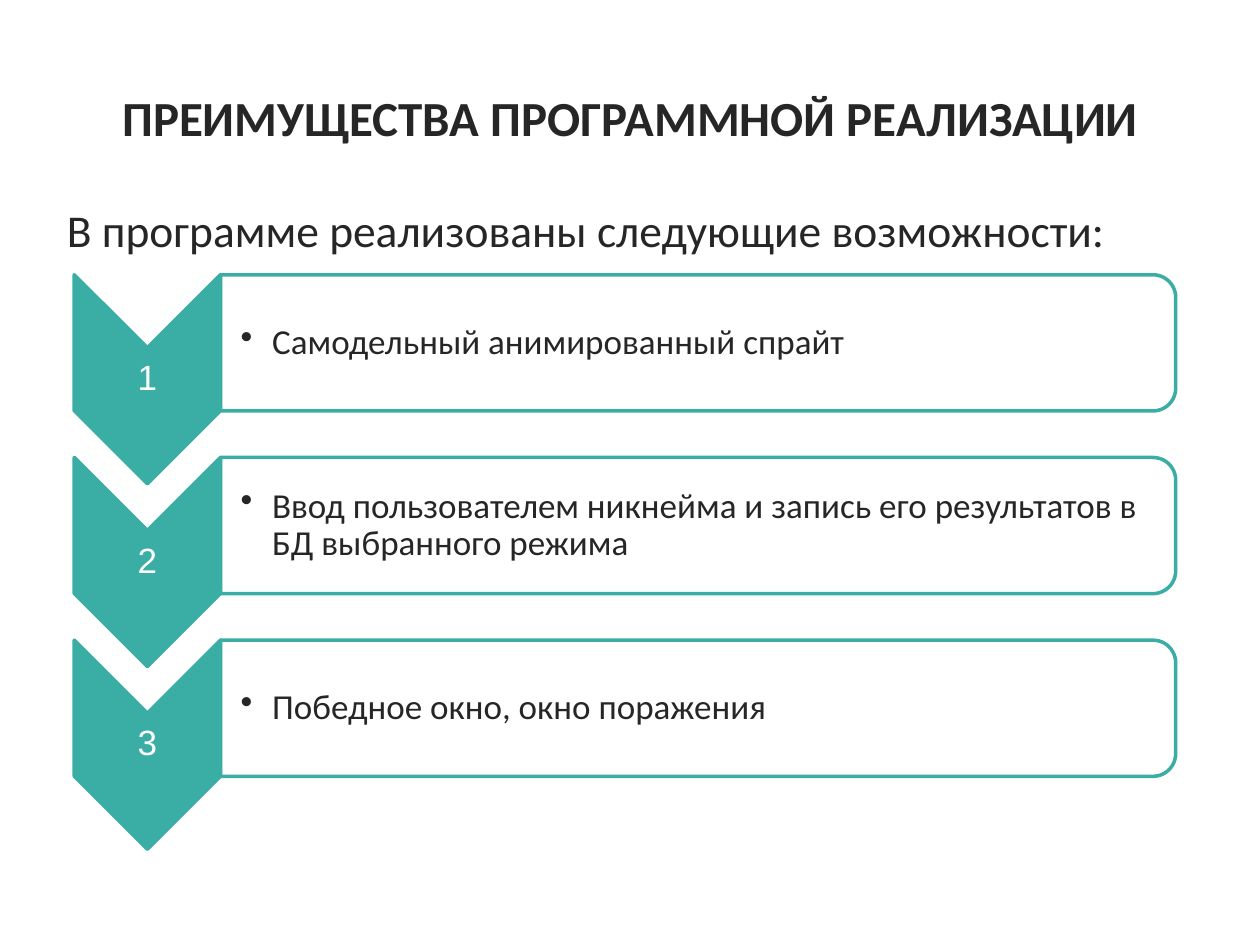
import pptx
import pptx.dml.color
import pptx.enum.shapes
import pptx.enum.text
import pptx.oxml
import pptx.oxml.ns
import pptx.util

Pt = pptx.util.Pt
MSO_SHAPE = pptx.enum.shapes.MSO_SHAPE
ALIGN = pptx.enum.text.PP_ALIGN
ANCHOR = pptx.enum.text.MSO_ANCHOR

COLORS = {"ink": "262626", "teal": "3AADA5", "white": "FFFFFF"}
ADVANTAGES = [
    "Самодельный анимированный спрайт",
    "Ввод пользователем никнейма и запись его результатов в БД выбранного режима",
    "Победное окно, окно поражения",
]
FIRST_TOP = 157
STEP = 104.4


def rgb(name):
    return pptx.dml.color.RGBColor.from_string(COLORS[name])


def assign(target, values):
    for name, value in values.items():
        setattr(target, name, value)


def drawing_xml(markup):
    return pptx.oxml.parse_xml(markup.replace("/>", f' {pptx.oxml.ns.nsdecls("a")}/>'))


class AdvantagesSlide:
    heading = {"name": "Calibri", "size": Pt(28), "bold": True}
    lead = {"name": "Calibri", "size": Pt(26), "bold": False}
    item = {"name": "Calibri", "size": Pt(20), "bold": False}
    number = {"name": "Arial", "size": Pt(20), "bold": False}

    def __init__(self, slide):
        self.slide = slide

    def set_text(self, holder, text, font, color, frame_format, paragraph_format):
        frame = holder.text_frame
        frame.text = text
        assign(frame, {"word_wrap": True, **frame_format})
        paragraph = frame.paragraphs[0]
        assign(paragraph, paragraph_format)
        assign(paragraph.runs[0].font, font)
        paragraph.runs[0].font.color.rgb = rgb(color)
        return paragraph

    def placeholder(self, index, box, text, font, anchor, align):
        holder = self.slide.placeholders[index]
        assign(holder, dict(zip(("left", "top", "width", "height"), map(Pt, box))))
        frame_format = {"vertical_anchor": anchor,
                        "auto_size": pptx.enum.text.MSO_AUTO_SIZE.NONE}
        return self.set_text(holder, text, font, "ink", frame_format, {"alignment": align})

    def indent(self, paragraph, left, first, bullet):
        properties = paragraph._p.get_or_add_pPr()
        properties.set("marL", str(Pt(left)))
        properties.set("indent", str(Pt(first)))
        properties.append(drawing_xml(bullet))

    def turned_shape(self, kind, box, fill):
        left, top, width, height = box
        shape = self.slide.shapes.add_shape(
            kind, Pt(left + (width - height) / 2), Pt(top + (height - width) / 2),
            Pt(height), Pt(width))
        shape.rotation = 90
        shape.shadow.inherit = False
        shape.fill.solid()
        shape.fill.fore_color.rgb = rgb(fill)
        shape.line.color.rgb = rgb("teal")
        shape.line.width = Pt(2)
        return shape

    def label(self, box, text, font, color, align, left_inset):
        holder = self.slide.shapes.add_textbox(*map(Pt, box))
        frame_format = {"vertical_anchor": ANCHOR.MIDDLE, "margin_left": Pt(left_inset),
                        "margin_top": Pt(0.7), "margin_right": Pt(0.7),
                        "margin_bottom": Pt(0.7)}
        return self.set_text(holder, text, font, color, frame_format,
                             {"alignment": align, "line_spacing": 0.9})

    def advantage(self, number, text, top):
        self.turned_shape(MSO_SHAPE.CHEVRON, (42.4, top, 83.6, 119.5), "teal")
        self.label((42.4, top + 41.7, 83.6, 36), str(number), self.number, "white",
                   ALIGN.CENTER, 0.7)
        bar = self.turned_shape(MSO_SHAPE.ROUND_2_SAME_RECTANGLE,
                                (126, top, 545.8, 77.8), "white")
        white = bar.fill._xPr.find(".//" + pptx.oxml.ns.qn("a:srgbClr"))
        white.append(drawing_xml('<a:alpha val="90000"/>'))
        paragraph = self.label((126, top + 3.6, 541.4, 70.6), text, self.item, "ink",
                               ALIGN.LEFT, 11.5)
        self.indent(paragraph, 18, -18, '<a:buChar char="•"/>')


def main():
    deck = pptx.Presentation()
    deck.slide_width, deck.slide_height = Pt(720), Pt(540)
    page = AdvantagesSlide(deck.slides.add_slide(deck.slide_layouts[1]))
    page.placeholder(0, (36, 21.6, 648, 90), "ПРЕИМУЩЕСТВА ПРОГРАММНОЙ РЕАЛИЗАЦИИ",
                     page.heading, ANCHOR.MIDDLE, ALIGN.CENTER)
    lead = page.placeholder(1, (31, 111.6, 648, 64.8),
                            "В программе реализованы следующие возможности:",
                            page.lead, ANCHOR.TOP, ALIGN.LEFT)
    page.indent(lead, 0, 0, "<a:buNone/>")
    for index, text in enumerate(ADVANTAGES):
        page.advantage(index + 1, text, FIRST_TOP + index * STEP)
    deck.save("out.pptx")


if __name__ == "__main__":
    main()
